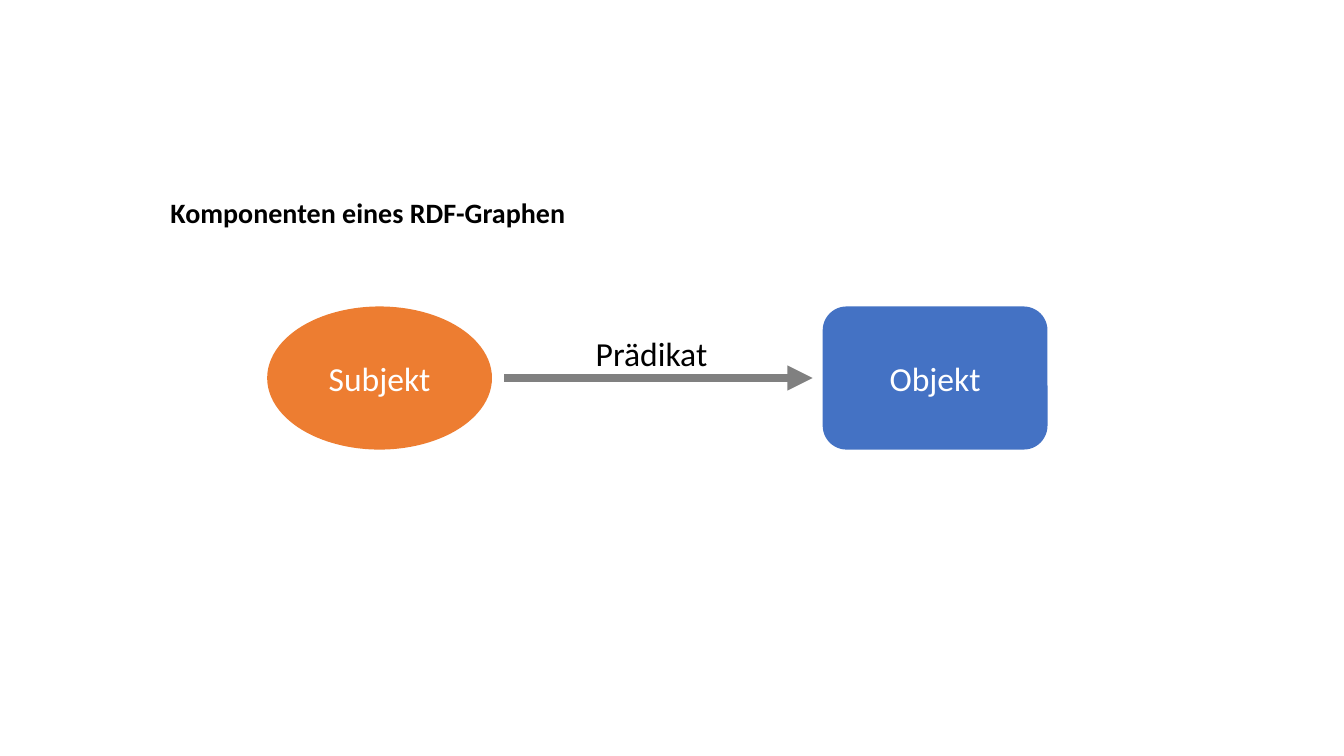
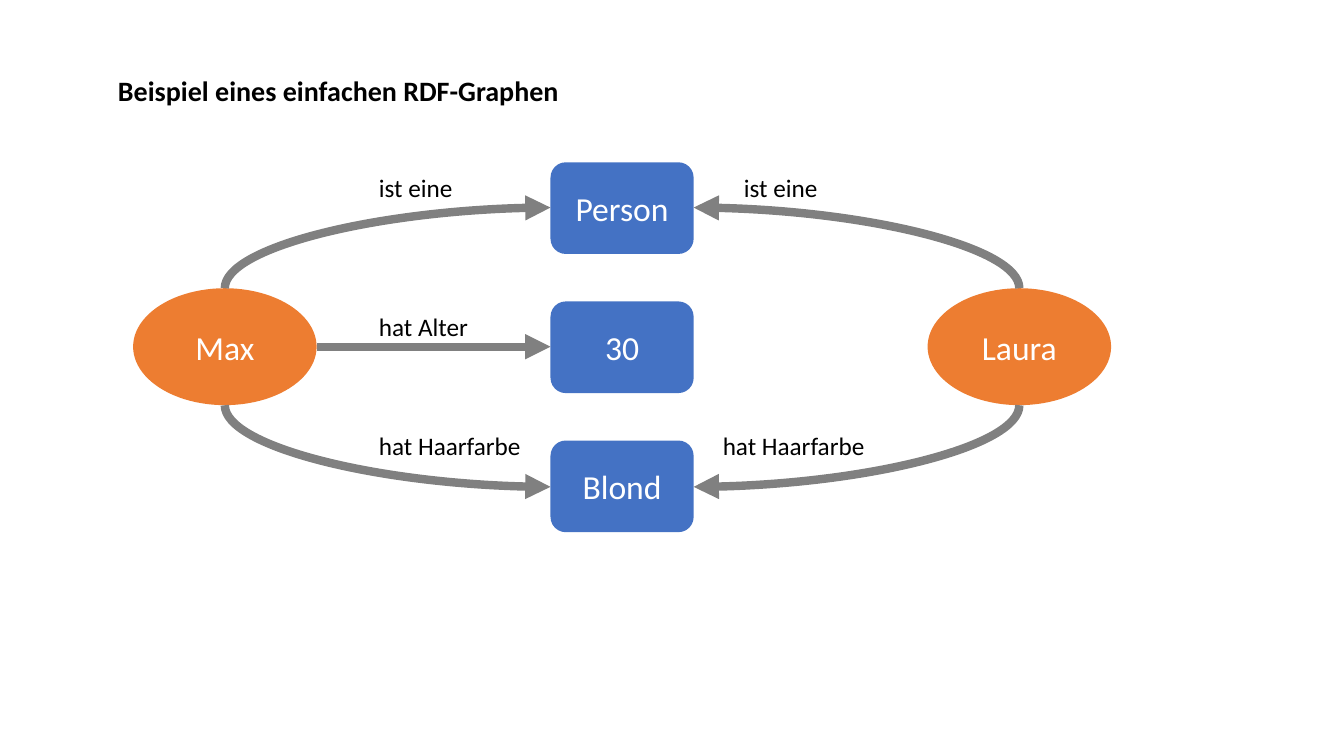
from lxml.etree import SubElement
from pptx import Presentation
from pptx.dml.color import RGBColor
from pptx.enum.shapes import MSO_CONNECTOR as LINE, MSO_SHAPE as SHAPE
from pptx.enum.text import MSO_ANCHOR as ANCHOR, MSO_AUTO_SIZE as FIT, PP_ALIGN as ALIGN
from pptx.oxml.ns import qn
from pptx.util import Inches, Pt

ORANGE, BLUE, GRAY = "ED7D31", "4472C4", "808080"
WHITE, BLACK = "FFFFFF", "000000"
TITLE_ONLY = 5
NODE_TEXT = {"size": Pt(24), "name": "Calibri", "bold": False}
LABEL_TEXT = {**NODE_TEXT, "size": Pt(18)}
TITLE_TEXT = {**NODE_TEXT, "size": Pt(20), "bold": True}

# Connection sites of the two node outlines
ELLIPSE_TOP, ELLIPSE_BOTTOM, ELLIPSE_RIGHT = 0, 4, 6
BOX_LEFT, BOX_RIGHT = 1, 3


def color(value):
    """Turn a hex string into a colour."""
    return RGBColor.from_string(value)


def write(shape, text, style, ink, align, anchor, wrap=True, fit=FIT.NONE):
    """Put one formatted paragraph into a shape."""
    frame = shape.text_frame
    layout = {"word_wrap": wrap, "auto_size": fit, "vertical_anchor": anchor}
    for name, value in layout.items():
        setattr(frame, name, value)
    para = frame.paragraphs[0]
    para.alignment = align
    span = para.add_run()
    span.text = text
    for name, value in style.items():
        setattr(span.font, name, value)
    span.font.color.rgb = color(ink)


def add_page(deck, text, left, top, width):
    """Add a slide with its bold heading."""
    page = deck.slides.add_slide(deck.slide_layouts[TITLE_ONLY])
    title = page.shapes.title
    place = {"left": left, "top": top, "width": width, "height": 0.44}
    for name, value in place.items():
        setattr(title, name, Inches(value))
    write(title, text, TITLE_TEXT, BLACK, ALIGN.LEFT, ANCHOR.TOP)
    return page


def add_node(page, outline, fill, text, *place):
    """Add a filled node with a centred white name."""
    node = page.shapes.add_shape(outline, *map(Inches, place))
    node.shadow.inherit = False
    node.fill.solid()
    node.fill.fore_color.rgb = color(fill)
    node.line.fill.background()
    write(node, text, NODE_TEXT, WHITE, ALIGN.CENTER, ANCHOR.MIDDLE)
    return node


def add_subject(page, text, *place):
    """Add an orange ellipse."""
    return add_node(page, SHAPE.OVAL, ORANGE, text, *place)


def add_object(page, text, *place):
    """Add a blue rounded box."""
    return add_node(page, SHAPE.ROUNDED_RECTANGLE, BLUE, text, *place)


def add_label(page, text, left, top, width, height=0.4, style=LABEL_TEXT):
    """Add the name of a predicate."""
    box = page.shapes.add_textbox(*map(Inches, (left, top, width, height)))
    write(box, text, style, BLACK, ALIGN.LEFT, ANCHOR.TOP, False, FIT.SHAPE_TO_FIT_TEXT)


def add_arrow(page, start, end, kind=LINE.STRAIGHT):
    """Add a thick gray arrow between two points."""
    arrow = page.shapes.add_connector(kind, *map(Inches, (*start, *end)))
    arrow.line.color.rgb = color(GRAY)
    arrow.line.width = Pt(6)
    properties = arrow._element.spPr
    SubElement(properties.find(qn("a:ln")), qn("a:tailEnd"), type="triangle")
    SubElement(properties, qn("a:effectLst"))
    return arrow


def glue(arrow, source, source_site, target, target_site):
    """Attach both ends of an arrow to connection sites."""
    links = next(arrow._element.iter(qn("p:cNvCxnSpPr")))
    ends = (("a:stCxn", source, source_site), ("a:endCxn", target, target_site))
    for tag, node, site in ends:
        SubElement(links, qn(tag), id=str(node.shape_id), idx=str(site))


def add_curve(page, start, end):
    """Add a quarter curve that leaves vertically and arrives horizontally."""
    arrow = add_arrow(page, start, end, LINE.CURVE)
    (x1, y1), (x2, y2) = start, end
    rightward, upward = x2 > x1, y2 < y1
    across, down = abs(x2 - x1), abs(y2 - y1)
    frame = {"left": (x1 + x2 - down) / 2, "top": (y1 + y2 - across) / 2,
             "width": down, "height": across}
    for name, value in frame.items():
        setattr(arrow, name, Inches(value))
    properties = arrow._element.spPr
    turn = 90 if rightward == upward else 270
    transform = {"rot": turn * 60000, "flipH": int(rightward), "flipV": int(upward)}
    for name, value in transform.items():
        properties.find(qn("a:xfrm")).set(name, str(value))
    properties.find(qn("a:prstGeom")).set("prst", "curvedConnector2")
    return arrow


def build_components(deck):
    """Show subject, predicate and object."""
    page = add_page(deck, "Komponenten eines RDF-Graphen", 1.59, 1.89, 4.22)
    add_subject(page, "Subjekt", 2.65, 3.04, 2.23, 1.42)
    add_object(page, "Objekt", 8.16, 3.04, 2.23, 1.42)
    add_arrow(page, (5, 3.75), (8.06, 3.75))
    add_label(page, "Prädikat", 5.81, 3.25, 1.32, 0.5, NODE_TEXT)


def build_example(deck):
    """Show two people who share some properties."""
    page = add_page(deck, "Beispiel eines einfachen RDF-Graphen", 1.07, 0.68, 4.68)
    box_left, box_width, box_height = 5.46, 1.42, 0.91
    box_right = box_left + box_width
    person, age, blond = (
        add_object(page, text, box_left, 1.61 + 1.38 * row, box_width, box_height)
        for row, text in enumerate(("Person", "30", "Blond")))

    top, width, height = 2.86, 1.82, 1.16
    people = (("Max", 1.32, box_left, BOX_LEFT, (3.66, 3.66)),
              ("Laura", 9.2, box_right, BOX_RIGHT, (7.28, 7.07)))
    for name, left, edge, box_site, label_lefts in people:
        subject = add_subject(page, name, left, top, width, height)
        middle = left + width / 2
        facts = (("ist eine", person, ELLIPSE_TOP, top, 2.06, 1.66, 0.94),
                 ("hat Haarfarbe", blond, ELLIPSE_BOTTOM, top + height, 4.83, 4.22, 1.62))
        for fact, label_left in zip(facts, label_lefts):
            text, target, site, start_y, end_y, label_top, label_width = fact
            curve = add_curve(page, (middle, start_y), (edge, end_y))
            glue(curve, subject, site, target, box_site)
            add_label(page, text, label_left, label_top, label_width)
        if name == "Max":
            arrow = add_arrow(page, (left + width, 3.44), (edge, 3.44))
            glue(arrow, subject, ELLIPSE_RIGHT, age, box_site)
            add_label(page, "hat Alter", 3.66, 3.04, 1.1)


def main():
    """Build and save the deck."""
    deck = Presentation()
    deck.slide_width, deck.slide_height = Inches(13.33), Inches(7.5)
    build_components(deck)
    build_example(deck)
    deck.save("out.pptx")


main()
